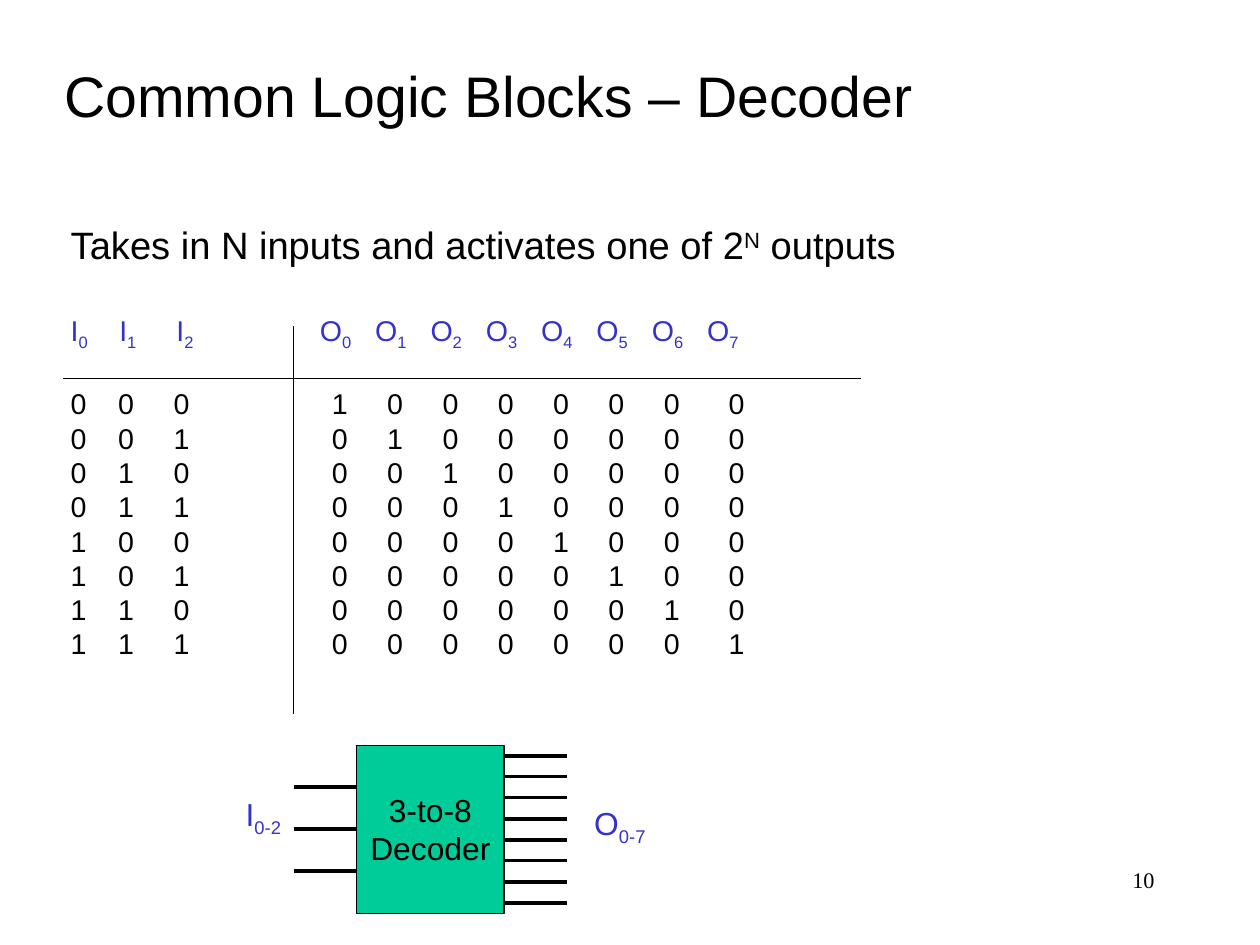
from dataclasses import dataclass

import pptx
import pptx.dml.color
import pptx.enum.shapes
import pptx.enum.text
import pptx.oxml
import pptx.oxml.ns
import pptx.util

Align = pptx.enum.text.PP_ALIGN


# Grid: square cells of a tenth of an inch
def cells(count: float) -> int:
    return pptx.util.Inches(count / 10)


@dataclass(frozen=True)
class Theme:
    ink: str = "000000"
    signal: str = "3333CC"
    block: str = "00CC99"
    font: str = "Arial"
    number_font: str = "Times New Roman"
    title: int = 36
    body: int = 24
    label: int = 20
    table: int = 18
    number: int = 14
    line_height: float = 1.2
    rule: float = 0.75
    wire: float = 2.25


THEME = Theme()


@dataclass(frozen=True)
class Span:
    text: str
    baseline: int = 0  # percent: above zero raises, below lowers


@dataclass(frozen=True)
class Passage:
    spans: tuple[Span, ...]
    size: int
    color: str = THEME.ink
    font: str = THEME.font
    align: Align = Align.LEFT
    tabs: tuple[float, ...] = ()
    space_before: float = 0


@dataclass(frozen=True)
class Label:
    left: float
    top: float
    width: float
    height: float
    passages: tuple[Passage, ...]


@dataclass(frozen=True)
class Line:
    start: tuple[float, float]
    end: tuple[float, float]
    width: float


def rgb(color: str) -> pptx.dml.color.RGBColor:
    return pptx.dml.color.RGBColor.from_string(color)


def write(frame, passages: tuple[Passage, ...]) -> None:
    for number, passage in enumerate(passages):
        para = frame.add_paragraph() if number else frame.paragraphs[0]
        if passage.tabs:
            stops = "".join(f'<a:tab pos="{cells(tab)}" algn="l"/>'
                            for tab in passage.tabs)
            para._p.get_or_add_pPr().append(pptx.oxml.parse_xml(
                f"<a:tabLst {pptx.oxml.ns.nsdecls('a')}>{stops}</a:tabLst>"))
        para.alignment = passage.align
        if passage.space_before:
            para.space_before = pptx.util.Pt(passage.space_before)
        for span in passage.spans:
            run = para.add_run()
            run.text = span.text
            run.font.size = pptx.util.Pt(passage.size)
            run.font.name = passage.font
            run.font.color.rgb = rgb(passage.color)
            if span.baseline:
                run._r.get_or_add_rPr().set("baseline",
                                            str(span.baseline * 1000))


def draw_label(page, label: Label) -> None:
    box = page.shapes.add_textbox(cells(label.left), cells(label.top),
                                  cells(label.width), cells(label.height))
    box.text_frame.word_wrap = True
    write(box.text_frame, label.passages)


def draw_line(page, line: Line):
    connector = page.shapes.add_connector(
        pptx.enum.shapes.MSO_CONNECTOR.STRAIGHT,
        *map(cells, line.start), *map(cells, line.end))
    connector.line.width = pptx.util.Pt(line.width)
    connector.line.color.rgb = rgb(THEME.ink)
    connector._element.spPr.append(pptx.oxml.parse_xml(
        f"<a:effectLst {pptx.oxml.ns.nsdecls('a')}/>"))
    return connector


# Truth table: tab stops for three inputs, then eight evenly spaced outputs
INPUTS, OUTPUTS = 3, 8
PITCH = 4.84
HEADER_TABS = (4.25, 9.25,
               *(21.8 + index * PITCH for index in range(OUTPUTS)))
DIGIT_TABS = (4.15, 9,
              *(22.85 + index * PITCH for index in range(OUTPUTS - 1)), 57.55)


def header() -> Passage:
    names = [("I", index) for index in range(INPUTS)]
    names += [("O", index) for index in range(OUTPUTS)]
    spans = []
    for position, (letter, index) in enumerate(names):
        spans += [Span("\t" + letter if position else letter),
                  Span(str(index), -25)]
    return Passage(tuple(spans), THEME.table, THEME.signal, tabs=HEADER_TABS,
                   space_before=THEME.body * THEME.line_height)


def digit_row(value: int) -> Passage:
    """Binary inputs followed by the one-hot outputs."""
    one_hot = "".join(str(int(value == output)) for output in range(OUTPUTS))
    digits = "\t".join(f"{value:0{INPUTS}b}" + one_hot)
    gap = 0 if value else THEME.table * THEME.line_height
    return Passage((Span(digits),), THEME.table, tabs=DIGIT_TABS,
                   space_before=gap)


# Decoder block with its wires
BLOCK_LEFT, BLOCK_TOP, BLOCK_WIDTH, BLOCK_HEIGHT = 31.2, 65.2, 12.9, 14.7
WIRE = 5.5


def draw_decoder(page) -> None:
    block = page.shapes.add_shape(
        pptx.enum.shapes.MSO_SHAPE.RECTANGLE, cells(BLOCK_LEFT),
        cells(BLOCK_TOP), cells(BLOCK_WIDTH), cells(BLOCK_HEIGHT))
    block.shadow.inherit = False
    block.fill.solid()
    block.fill.fore_color.rgb = rgb(THEME.block)
    block.line.color.rgb = rgb(THEME.ink)
    block.line.width = pptx.util.Pt(THEME.rule)
    block.text_frame.word_wrap = False
    block.text_frame.vertical_anchor = pptx.enum.text.MSO_ANCHOR.MIDDLE
    write(block.text_frame,
          tuple(Passage((Span(word),), THEME.label, align=Align.CENTER)
                for word in ("3-to-8", "Decoder")))

    for index in range(INPUTS):
        y = BLOCK_TOP + (index + 1) * BLOCK_HEIGHT / (INPUTS + 1)
        wire = draw_line(page, Line((BLOCK_LEFT - WIRE, y), (BLOCK_LEFT, y),
                                    THEME.wire))
        if index == INPUTS // 2:
            wire.end_connect(block, 1)
    right = BLOCK_LEFT + BLOCK_WIDTH
    for index in range(OUTPUTS):
        y = BLOCK_TOP + (index + 0.5) * BLOCK_HEIGHT / OUTPUTS
        draw_line(page, Line((right, y), (right + WIRE, y), THEME.wire))


def bus_name(letter: str, indices: str) -> tuple[Passage, ...]:
    return (Passage((Span(letter), Span(indices, -25)), THEME.label,
                    THEME.signal),)


# Text and rules
NUMBER = Passage((Span("10"),), THEME.number, font=THEME.number_font,
                 align=Align.RIGHT)
TITLE = Passage((Span("Common Logic Blocks – Decoder"),), THEME.title)
SENTENCE = Passage((Span("Takes in N inputs and activates one of 2"),
                    Span("N", 30), Span(" outputs")), THEME.body)
LABELS = (
    Label(79, 75.3, 23, 5.5, (NUMBER,)),
    Label(4.65, 4.8, 77, 7, (TITLE,)),
    Label(5.2, 18.9, 84.5, 39.4,
          (SENTENCE, header(), *map(digit_row, range(OUTPUTS)))),
)
TABLE_RULES = (
    Line((5.5, 33.1), (75.3, 33.1), THEME.rule),
    Line((25.7, 28.5), (25.7, 62.5), THEME.rule),
)
BUS_LABELS = (
    Label(20.5, 69, 5.5, 4.8, bus_name("I", "0-2")),
    Label(51, 69.8, 7, 4.8, bus_name("O", "0-7")),
)


def main() -> None:
    deck = pptx.Presentation()
    deck.slide_width = pptx.util.Mm(280)
    deck.slide_height = pptx.util.Mm(210)
    page = deck.slides.add_slide(deck.slide_layouts[6])
    for label in LABELS:
        draw_label(page, label)
    for rule in TABLE_RULES:
        draw_line(page, rule)
    draw_decoder(page)
    for label in BUS_LABELS:
        draw_label(page, label)
    deck.save("out.pptx")


if __name__ == "__main__":
    main()
